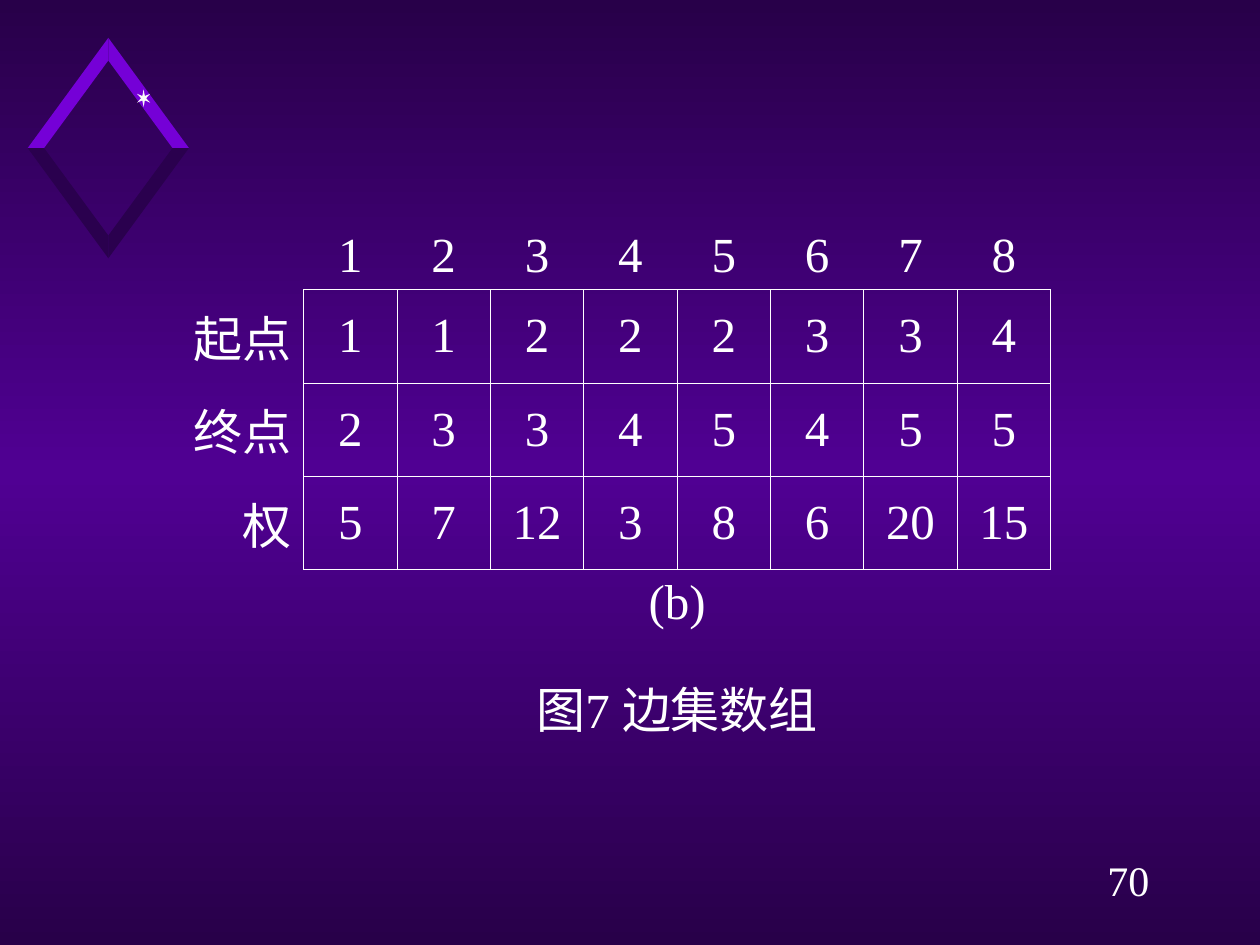
import copy
import math

from pptx import Presentation
from pptx import util as u
from pptx.dml.color import RGBColor
from pptx.enum import text
from pptx.oxml import ns
from lxml import etree

NIGHT = RGBColor(0x28, 0x00, 0x49)
PURPLE = RGBColor(0x50, 0x00, 0x93)
VIOLET = RGBColor(0x75, 0x00, 0xD7)
SHADE = RGBColor(0x2A, 0x00, 0x4E)
SPARK = RGBColor(0xF9, 0xF9, 0xF9)
WHITE = RGBColor(0xFF, 0xFF, 0xFF)
FONT = "Times New Roman"
NO_STYLE = "{2D5ABB26-0587-4C30-8999-92F81FD0307C}"
THIN, THICK = 0.45, 1.08

EDGES = [
    ("起点", [1, 1, 2, 2, 2, 3, 3, 4]),
    ("终点", [2, 3, 3, 4, 5, 4, 5, 5]),
    ("权", [5, 7, 12, 3, 8, 6, 20, 15]),
]
CAPTIONS = ["(b)", "图7 边集数组"]
ROW_HEIGHTS = [0.77, 0.74, 0.74, 0.74, 0.76, 0.74]


def set_background(s):
    fill = s.background.fill
    fill.gradient()
    fill.gradient_angle = 270
    stops = s.element.find(".//" + ns.qn("a:gsLst"))
    stops.append(copy.deepcopy(stops[0]))
    for stop, position, color in zip(fill.gradient_stops, (0, 0.5, 1), (NIGHT, PURPLE, NIGHT)):
        stop.position = position
        stop.color.rgb = color


def add_polygon(shapes, points, color):
    corners = [(u.Inches(x), u.Inches(y)) for x, y in points]
    builder = shapes.build_freeform(*corners[0])
    builder.add_line_segments(corners[1:], close=True)
    sp = builder.convert_to_shape()
    sp.shadow.inherit = False
    sp.fill.solid()
    sp.fill.fore_color.rgb = color
    sp.line.fill.background()


def add_diamond(s, left, top, width, height):
    shapes = s.shapes.add_group_shape().shapes
    half_w, half_h = width / 2, height / 2
    cx, cy = left + half_w, top + half_h
    for dy, color in ((-1, VIOLET), (1, SHADE)):
        for dx in (1, -1):
            add_polygon(shapes, [
                (cx, cy + dy * half_h),
                (cx + dx * half_w, cy),
                (cx + dx * (half_w - 0.13), cy),
                (cx, cy + dy * (half_h - 0.18)),
            ], color)
    star = []
    for i in range(12):
        rx, ry = (0.02, 0.02) if i % 2 else (0.06, 0.07)
        angle = math.radians(30 * i - 90)
        star.append((cx + 0.28 + rx * math.cos(angle), top + 0.48 + ry * math.sin(angle)))
    add_polygon(shapes, star, SPARK)


def write(tf, content, size, align):
    p = tf.paragraphs[0]
    p.alignment = align
    r = p.add_run()
    r.text = content
    r.font.size = u.Pt(size)
    r.font.name = FONT
    r.font.color.rgb = WHITE


def set_borders(cell, **widths):
    tcPr = cell._tc.get_or_add_tcPr()
    for i, side in enumerate("LRTB"):
        width = widths.get(side)
        ln = etree.Element(ns.qn("a:ln" + side))
        if width:
            ln.set("w", str(u.Pt(width)))
            fill = etree.SubElement(ln, ns.qn("a:solidFill"))
            etree.SubElement(fill, ns.qn("a:srgbClr"), val=str(WHITE))
        else:
            etree.SubElement(ln, ns.qn("a:noFill"))
        tcPr.insert(i, ln)


def add_edge_table(s, left, top, width, height):
    n_rows, n_cols = len(ROW_HEIGHTS), 9
    label_w = u.Inches(1.07)
    table = s.shapes.add_table(n_rows, n_cols, left, top, width, height).table
    table.first_row = table.horz_banding = False
    table._tbl.tblPr.find(ns.qn("a:tableStyleId")).text = NO_STYLE
    for i, col in enumerate(table.columns):
        col.width = (width - label_w) // (n_cols - 1) if i else label_w
    for row, row_height in zip(table.rows, ROW_HEIGHTS):
        row.height = u.Inches(row_height)

    rows = [["", *range(1, n_cols)]]
    rows += [[label, *values] for label, values in EDGES]
    rows += [["", caption] for caption in CAPTIONS]
    last = len(EDGES)
    for i, row in enumerate(rows):
        if i > last:
            table.cell(i, 1).merge(table.cell(i, n_cols - 1))
        for j in range(n_cols):
            cell = table.cell(i, j)
            cell.fill.background()
            in_grid = 1 <= i <= last
            set_borders(
                cell,
                L=THIN if in_grid and j else None,
                R=(THICK if j == n_cols - 1 else THIN) if in_grid else None,
                T=THIN if j and 1 <= i <= last + 1 else None,
                B=THIN if j and i <= last else None,
            )
            if j < len(row) and row[j] != "":
                cell.vertical_anchor = (
                    text.MSO_ANCHOR.MIDDLE if in_grid
                    else text.MSO_ANCHOR.BOTTOM if i == 0 else text.MSO_ANCHOR.TOP)
                write(cell.text_frame, str(row[j]), 28,
                      text.PP_ALIGN.CENTER if j else text.PP_ALIGN.RIGHT)


def add_page_number(s, left, top, width, height):
    tf = s.shapes.add_textbox(left, top, width, height).text_frame
    tf.word_wrap = True
    write(tf, "70", 24, text.PP_ALIGN.CENTER)


def main():
    prs = Presentation()
    prs.slide_width, prs.slide_height = u.Inches(10), u.Inches(7.5)
    s = prs.slides.add_slide(prs.slide_layouts[6])
    set_background(s)
    add_diamond(s, 0.22, 0.3, 1.28, 1.75)
    add_page_number(s, u.Inches(8.58), u.Inches(6.73), u.Inches(0.75), u.Inches(0.5))
    add_edge_table(s, u.Inches(1.34), u.Inches(1.53), u.Inches(7), u.Inches(sum(ROW_HEIGHTS)))
    prs.save("out.pptx")


if __name__ == "__main__":
    main()
